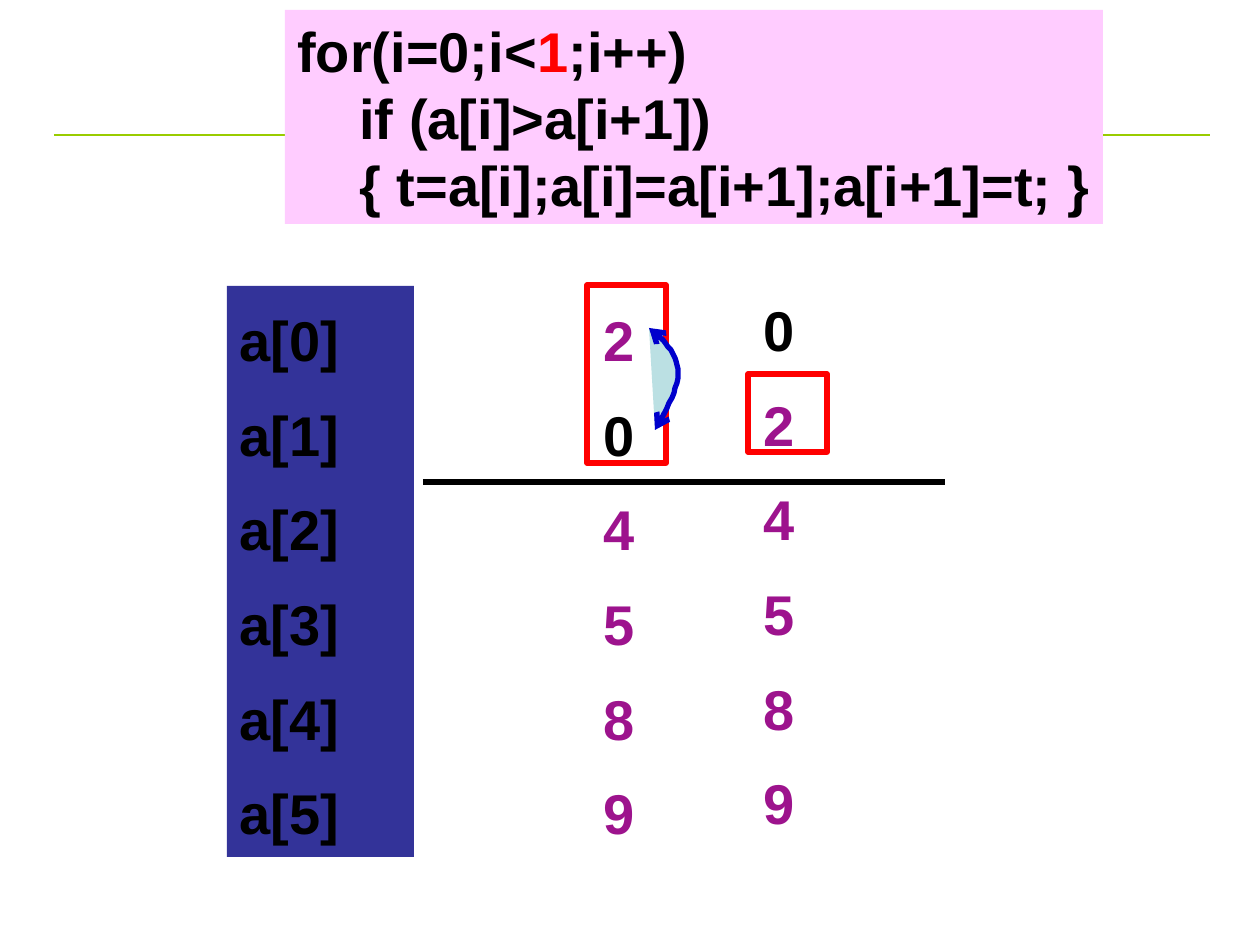
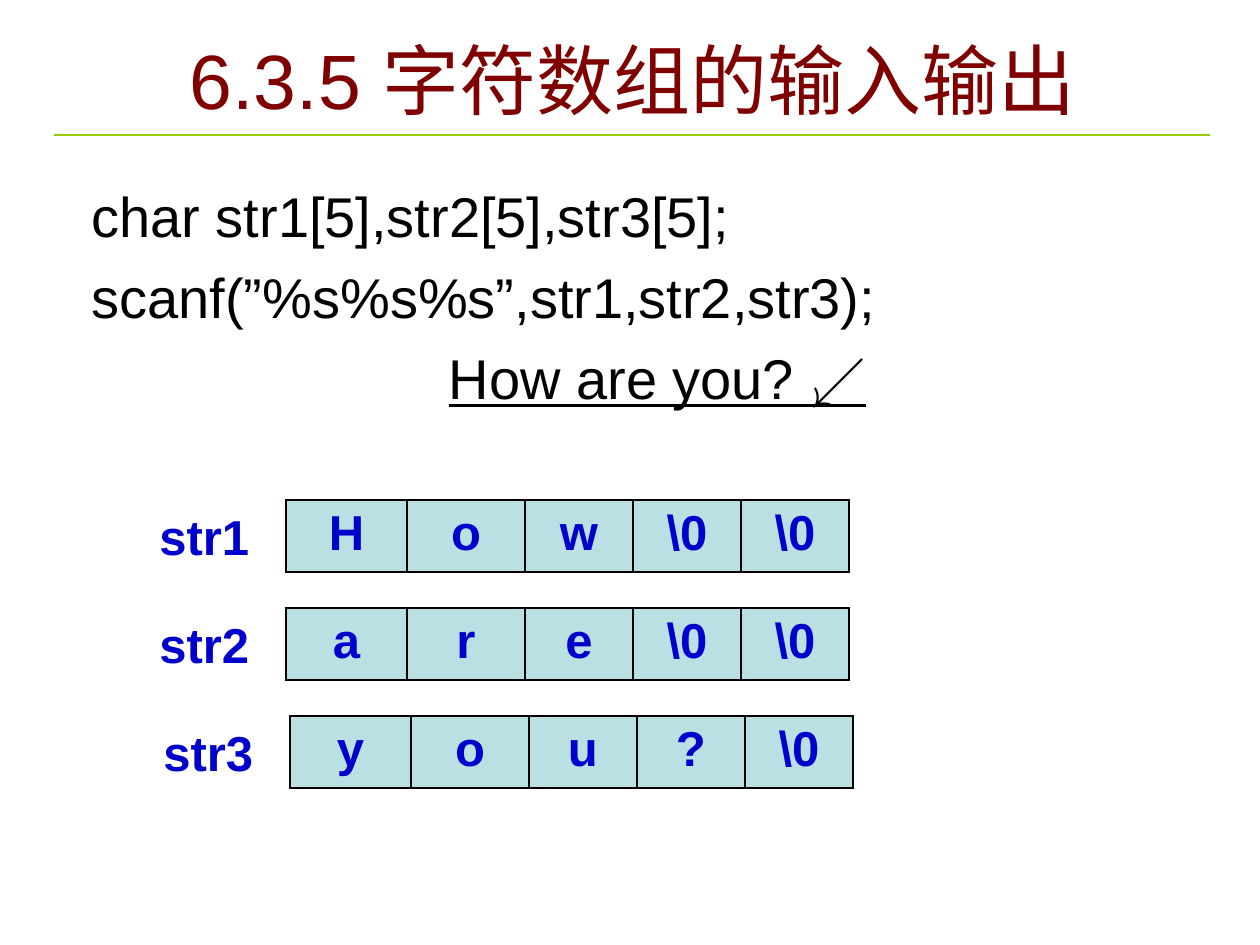
from lxml.etree import SubElement
from pptx import Presentation
from pptx.dml.color import RGBColor
from pptx.enum.shapes import MSO_CONNECTOR, MSO_SHAPE
from pptx.enum.text import MSO_ANCHOR, PP_ALIGN
from pptx.oxml.ns import qn
from pptx.util import Emu, Pt

PX = 914400 / 126
FONT = "Arial"
COLORS = {
    "rule": "99CC00", "black": "000000", "red": "FF0000", "title": "800000",
    "value": "9D138D", "index": "333399", "code": "FFCCFF",
    "blue": "0000CC", "cell": "BBE0E3",
}


def px(length):
    return Emu(round(length * PX))


def box(*lengths):
    return [px(length) for length in lengths]


def color(name):
    return RGBColor.from_string(COLORS[name])


# Text
def style(font, size, color_name, bold=False):
    font.name, font.size, font.bold = FONT, Pt(size), bold
    font.color.rgb = color(color_name)


def write_lines(shape, lines, size, colors, bold=False, space=0, spacing=None, hanging=0):
    """Write one paragraph per line, with one colour for all or one for each."""
    frame = shape.text_frame
    frame.vertical_anchor = MSO_ANCHOR.TOP
    frame.word_wrap = True
    if isinstance(colors, str):
        colors = [colors] * len(lines)
    for number, (line, color_name) in enumerate(zip(lines, colors)):
        paragraph = frame.add_paragraph() if number else frame.paragraphs[0]
        paragraph.text = line
        paragraph.alignment = PP_ALIGN.LEFT
        paragraph.line_spacing = spacing
        if number and space:
            paragraph.space_before = Pt(space)
        if hanging:
            properties = paragraph._p.get_or_add_pPr()
            properties.set("marL", str(px(hanging)))
            properties.set("indent", str(-px(hanging)))
        style(paragraph.font, size, color_name, bold)
    return frame


# Shapes and lines
def add_rule(slide, x1, x2, y, color_name, width):
    rule = slide.shapes.add_connector(MSO_CONNECTOR.STRAIGHT, *box(x1, y, x2, y))
    rule.line.color.rgb = color(color_name)
    rule.line.width = Pt(width)
    SubElement(rule._element.spPr, qn("a:effectLst"))


def add_panel(slide, place, fill):
    panel = slide.shapes.add_shape(MSO_SHAPE.RECTANGLE, *box(*place))
    panel.shadow.inherit = False
    panel.fill.solid()
    panel.fill.fore_color.rgb = color(fill)
    panel.line.fill.background()
    return panel


def add_frame(slide, place):
    frame = slide.shapes.add_shape(MSO_SHAPE.FLOWCHART_PROCESS, *box(*place))
    frame.shadow.inherit = False
    frame.fill.background()
    frame.line.color.rgb = color("red")
    frame.line.width = Pt(3)


def bezier(start, control1, control2, end, steps=12):
    for step in range(1, steps + 1):
        t = step / steps
        weights = ((1 - t) ** 3, 3 * t * (1 - t) ** 2, 3 * t * t * (1 - t), t ** 3)
        yield tuple(sum(w * p for w, p in zip(weights, axis))
                    for axis in zip(start, control1, control2, end))


def add_swap_arrow(slide):
    bottom, middle, top = (655, 430), (678, 369), (649, 328)
    points = [*bezier(bottom, (668, 408), (679, 387), middle),
              *bezier(middle, (677, 353), (663, 340), top)]
    builder = slide.shapes.build_freeform(*bottom, scale=PX)
    builder.add_line_segments(points, close=False)
    arrow = builder.convert_to_shape()
    arrow.shadow.inherit = False
    arrow.fill.solid()
    arrow.fill.fore_color.rgb = color("cell")
    arrow.line.color.rgb = color("blue")
    arrow.line.width = Pt(3)
    for end in ("a:headEnd", "a:tailEnd"):
        SubElement(arrow.line._get_or_add_ln(), qn(end), type="arrow")


# Array columns and string rows
def write_array(shape, lines, colors):
    write_lines(shape, lines, 32, colors, bold=True, space=8, spacing=1.2, hanging=48)


def add_values(slide, left, top, values):
    column = slide.shapes.add_textbox(*box(left, top, 98, 571))
    write_array(column, values, ["black" if value == "0" else "value" for value in values])


def set_borders(cell):
    properties = cell._tc.get_or_add_tcPr()
    for position, side in enumerate(("a:lnL", "a:lnR", "a:lnT", "a:lnB")):
        line = SubElement(properties, qn(side), w=str(Pt(1.47)))
        fill = SubElement(line, qn("a:solidFill"))
        SubElement(fill, qn("a:srgbClr"), val=COLORS["black"])
        properties.insert(position, line)


def add_string(slide, name, characters, left, top):
    widths = (121, 118, 108, 108, 108)
    table = slide.shapes.add_table(1, len(widths), *box(left, top, sum(widths), 72)).table
    table.rows[0].height = px(72)
    for column, width, character in zip(table.columns, widths, characters):
        column.width = px(width)
    for cell, character in zip(table.rows[0].cells, characters):
        cell.fill.solid()
        cell.fill.fore_color.rgb = color("cell")
        set_borders(cell)
        paragraph = cell.text_frame.paragraphs[0]
        paragraph.text = character
        paragraph.alignment = PP_ALIGN.CENTER
        style(paragraph.font, 28, "blue", bold=True)
    label = slide.shapes.add_textbox(*box(left - 139, top, 129, 72))
    write_lines(label, [name], 28, "blue", bold=True)


# Slides
def add_slide(presentation):
    slide = presentation.slides.add_slide(presentation.slide_layouts[6])
    add_rule(slide, 54, 1210, 135, "rule", 1.5)
    return slide


def build_swap_slide(presentation):
    slide = add_slide(presentation)
    add_rule(slide, 423, 945, 482, "black", 3)
    add_values(slide, 591, 286, "204589")
    add_frame(slide, (587, 285, 79, 178))
    add_swap_arrow(slide)
    add_values(slide, 751, 276, "024589")
    add_frame(slide, (748, 374, 79, 78))
    names = add_panel(slide, (227, 286, 187, 571), "index")
    write_array(names, [f"a[{index}]" for index in range(6)], "black")

    code = add_panel(slide, (285, 10, 818, 214), "code")
    frame = write_lines(code, ["", "    if (a[i]>a[i+1])",
                               "    { t=a[i];a[i]=a[i+1];a[i+1]=t; }"], 32, "black", bold=True)
    frame.word_wrap = False
    for text, color_name in (("for(i=0;i<", "black"), ("1", "red"), (";i++)", "black")):
        run = frame.paragraphs[0].add_run()
        run.text = text
        style(run.font, 32, color_name, bold=True)


def build_string_slide(presentation):
    slide = add_slide(presentation)
    body = slide.shapes.add_textbox(*box(79, 175, 1157, 384))
    lines = ["char str1[5],str2[5],str3[5];", "scanf(”%s%s%s”,str1,str2,str3);",
             "How are you? ↙"]
    typed = write_lines(body, lines, 32, "black", space=8, hanging=48).paragraphs[-1]
    typed.alignment = PP_ALIGN.CENTER
    typed.font.underline = True
    typed.runs[0].font.underline = True

    strings = (("str1", ("H", "o", "w", "\\0", "\\0"), 286),
               ("str2", ("a", "r", "e", "\\0", "\\0"), 286),
               ("str3", ("y", "o", "u", "?", "\\0"), 290))
    for row, (name, characters, left) in enumerate(strings):
        add_string(slide, name, characters, left, 500 + 108 * row)

    title = slide.shapes.add_textbox(*box(149, 26, 968, 106))
    frame = write_lines(title, ["6.3.5 字符数组的输入输出"], 44, "title")
    frame.vertical_anchor = MSO_ANCHOR.MIDDLE
    frame.paragraphs[0].alignment = PP_ALIGN.CENTER


def main():
    presentation = Presentation()
    presentation.slide_width, presentation.slide_height = box(1260, 945)
    build_swap_slide(presentation)
    build_string_slide(presentation)
    presentation.save("out.pptx")


if __name__ == "__main__":
    main()
